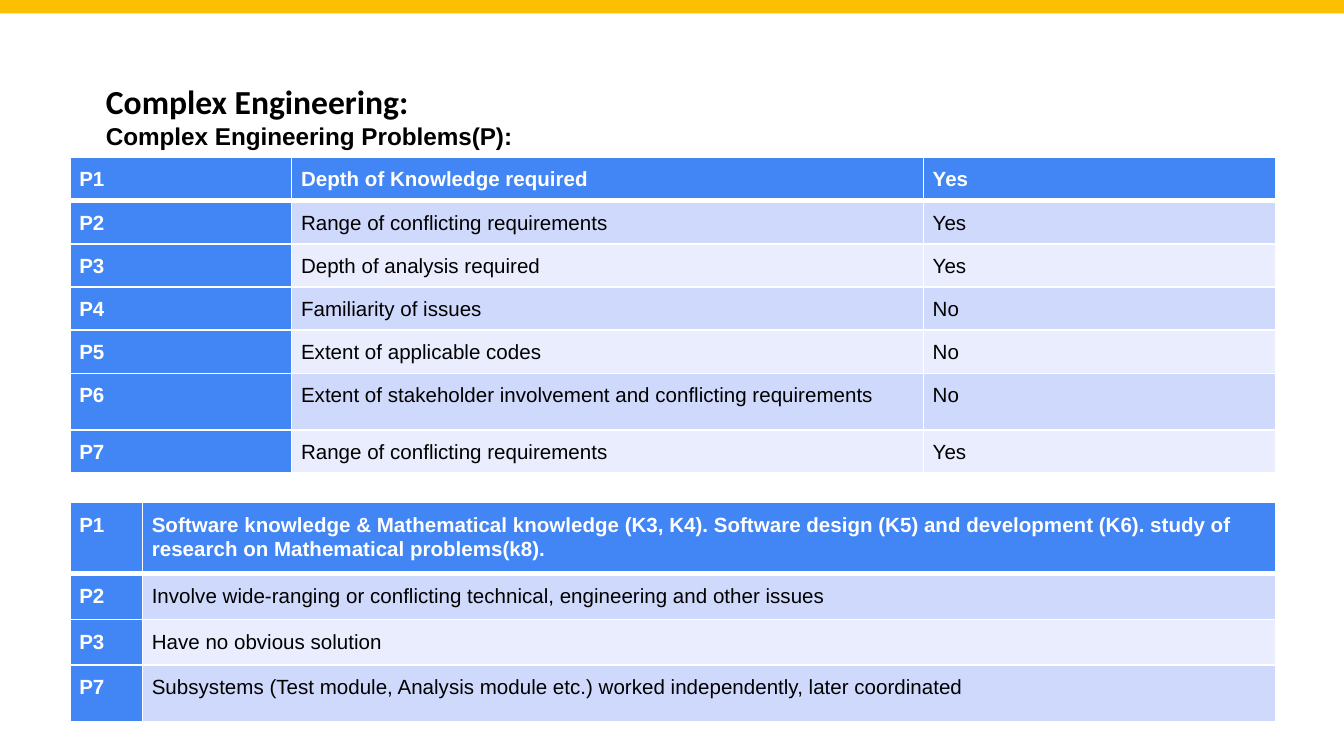
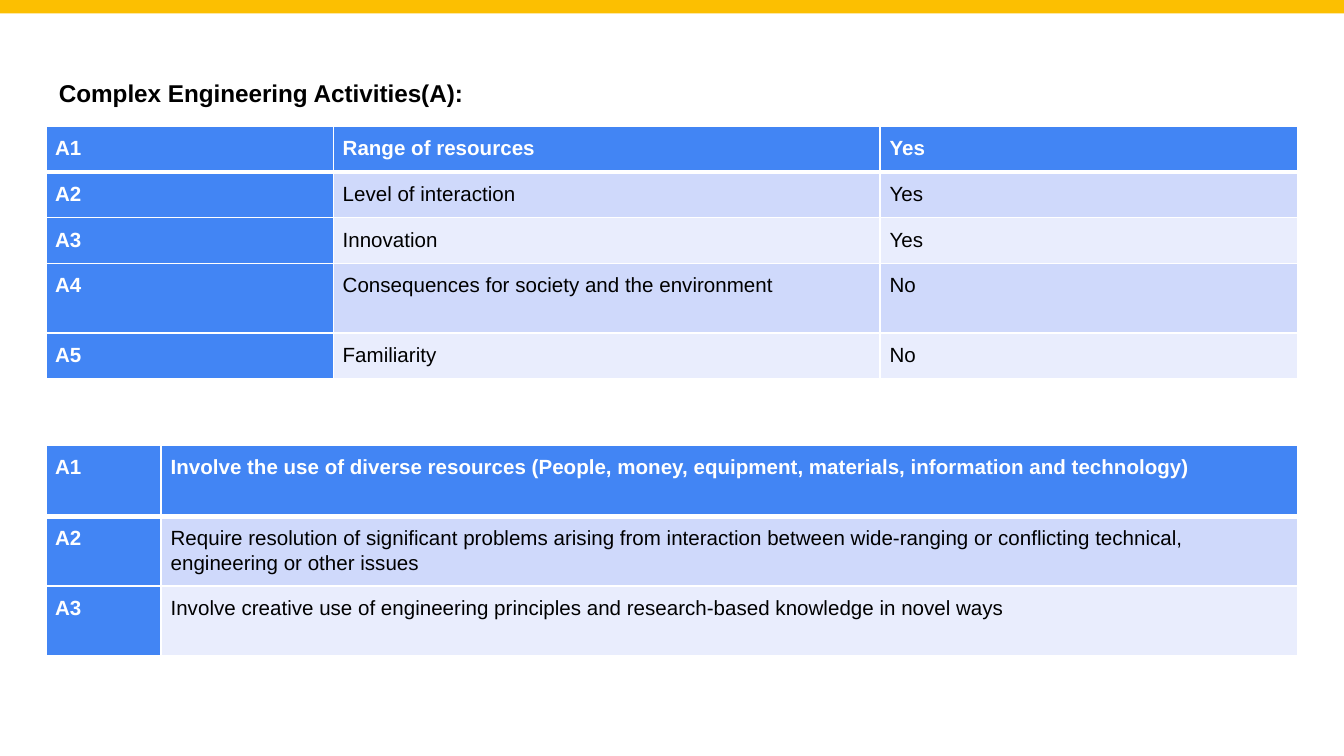
from dataclasses import dataclass

from lxml import etree
from pptx import Presentation
from pptx.dml.color import RGBColor
from pptx.enum.shapes import MSO_SHAPE as Shape
from pptx.enum.text import MSO_ANCHOR as Anchor, MSO_AUTO_SIZE as AutoSize
from pptx.oxml.ns import qn
from pptx.util import Inches, Pt


@dataclass(frozen=True)
class Theme:
    band: str = "FCBF01"
    accent: str = "4285F4"
    stripes: tuple = ("E9EDFD", "CFD9FB")
    light: str = "FFFFFF"
    dark: str = "000000"
    title_font: str = "Calibri"
    body_font: str = "Arial"
    title_size: int = 18
    subtitle_size: int = 13
    cell_size: int = 11
    grid_line: int = 1
    header_line: int = 3


class Deck:
    """Holds the style and the current slide."""

    def __init__(self, theme):
        self.theme = theme
        self.prs = Presentation()
        # Widescreen, 16:9
        self.prs.slide_width = Inches(10)
        self.prs.slide_height = Inches(10 * 9 / 16)
        self.slide = None

    def new_slide(self):
        self.slide = self.prs.slides.add_slide(self.prs.slide_layouts[6])
        band = self.slide.shapes.add_shape(
            Shape.RECTANGLE, 0, 0, self.prs.slide_width, Inches(0.1))
        band.shadow.inherit = False
        band.fill.solid()
        band.fill.fore_color.rgb = RGBColor.from_string(self.theme.band)
        band.line.fill.background()

    def run(self, paragraph, text, size, color, bold, font):
        run = paragraph.add_run()
        run.text = text
        run.font.size, run.font.bold, run.font.name = Pt(size), bold, font
        run.font.color.rgb = RGBColor.from_string(color)

    def heading(self, left, top, width, lines):
        """Lines are (text, size, font) triples."""
        box = self.slide.shapes.add_textbox(
            Inches(left), Inches(top), Inches(width), Inches(0.63))
        frame = box.text_frame
        frame.word_wrap, frame.auto_size = True, AutoSize.NONE
        frame.vertical_anchor = Anchor.MIDDLE
        # The deep bottom inset lifts the heading clear of the table
        frame.margin_bottom = Inches(0.34)
        for i, (text, size, font) in enumerate(lines):
            paragraph = frame.add_paragraph() if i else frame.paragraphs[0]
            self.run(paragraph, text, size, self.theme.dark, True, font)

    def borders(self, cell, row):
        t = self.theme
        widths = {
            "lnL": t.grid_line,
            "lnR": t.grid_line,
            "lnT": t.header_line if row == 1 else t.grid_line,
            "lnB": t.header_line if row == 0 else t.grid_line,
        }
        props = cell._tc.get_or_add_tcPr()
        for i, (side, width) in enumerate(widths.items()):
            line = etree.Element(qn(f"a:{side}"), w=str(Pt(width)))
            fill = etree.SubElement(line, qn("a:solidFill"))
            etree.SubElement(fill, qn("a:srgbClr"), val=t.light)
            props.insert(i, line)

    def cell(self, cell, text, row, col):
        t = self.theme
        is_header = row == 0 or col == 0
        cell.fill.solid()
        cell.fill.fore_color.rgb = RGBColor.from_string(
            t.accent if is_header else t.stripes[row % 2])
        cell.margin_left = cell.margin_right = Inches(0.07)
        cell.margin_top = cell.margin_bottom = Inches(0.07)
        paragraph = cell.text_frame.paragraphs[0]
        paragraph.line_spacing, paragraph.space_before = 1.07, Pt(12)
        self.run(paragraph, text, t.cell_size,
                 t.light if is_header else t.dark, is_header, t.body_font)
        self.borders(cell, row)

    def table(self, left, top, widths, heights, rows):
        table = self.slide.shapes.add_table(
            len(rows), len(widths), Inches(left), Inches(top),
            Inches(sum(widths)), Inches(sum(heights))).table
        table.horz_banding = False
        for column, width in zip(table.columns, widths):
            column.width = Inches(width)
        for r, (height, texts) in enumerate(zip(heights, rows)):
            table.rows[r].height = Inches(height)
            for c, text in enumerate(texts):
                self.cell(table.cell(r, c), text, r, c)


PROBLEMS = [
    ("P1", "Depth of Knowledge required", "Yes"),
    ("P2", "Range of conflicting requirements", "Yes"),
    ("P3", "Depth of analysis required", "Yes"),
    ("P4", "Familiarity of issues", "No"),
    ("P5", "Extent of applicable codes", "No"),
    ("P6", "Extent of stakeholder involvement and conflicting requirements", "No"),
    ("P7", "Range of conflicting requirements", "Yes"),
]
PROBLEM_REASONS = [
    ("P1", "Software knowledge & Mathematical knowledge (K3, K4). Software design (K5) "
           "and development (K6). study of research on Mathematical problems(k8)."),
    ("P2", "Involve wide-ranging or conflicting technical, engineering and other issues"),
    ("P3", "Have no obvious solution"),
    ("P7", "Subsystems (Test module, Analysis module etc.) worked independently, "
           "later coordinated"),
]
ACTIVITIES = [
    ("A1", "Range of resources", "Yes"),
    ("A2", "Level of interaction", "Yes"),
    ("A3", "Innovation", "Yes"),
    ("A4", "Consequences for society and the environment", "No"),
    ("A5", "Familiarity", "No"),
]
ACTIVITY_REASONS = [
    ("A1", "Involve the use of diverse resources (People, money, equipment, materials, "
           "information and technology)"),
    ("A2", "Require resolution of significant problems arising from interaction between "
           "wide-ranging or conflicting technical, engineering or other issues"),
    ("A3", "Involve creative use of engineering principles and research-based knowledge "
           "in novel ways"),
]


def main():
    theme = Theme()
    deck = Deck(theme)

    # Complex engineering problems
    deck.new_slide()
    deck.table(0.52, 1.17, [1.65, 4.7, 2.62], [0.32] * 5 + [0.42, 0.32], PROBLEMS)
    deck.heading(0.69, 0.69, 8.33, [
        ("Complex Engineering:", theme.title_size, theme.title_font),
        ("Complex Engineering Problems(P):", theme.subtitle_size, theme.body_font),
    ])
    deck.table(0.52, 3.74, [0.54, 8.43], [0.53, 0.34, 0.34, 0.42], PROBLEM_REASONS)

    # Complex engineering activities
    deck.new_slide()
    deck.table(0.34, 0.94, [2.14, 4.07, 3.11], [0.34] * 3 + [0.52, 0.34], ACTIVITIES)
    deck.heading(0.34, 0.52, 9.32, [
        ("Complex Engineering Activities(A):", theme.subtitle_size, theme.body_font),
    ])
    deck.table(0.34, 3.31, [0.86, 8.46], [0.53, 0.52, 0.52], ACTIVITY_REASONS)

    deck.prs.save("out.pptx")


if __name__ == "__main__":
    main()
